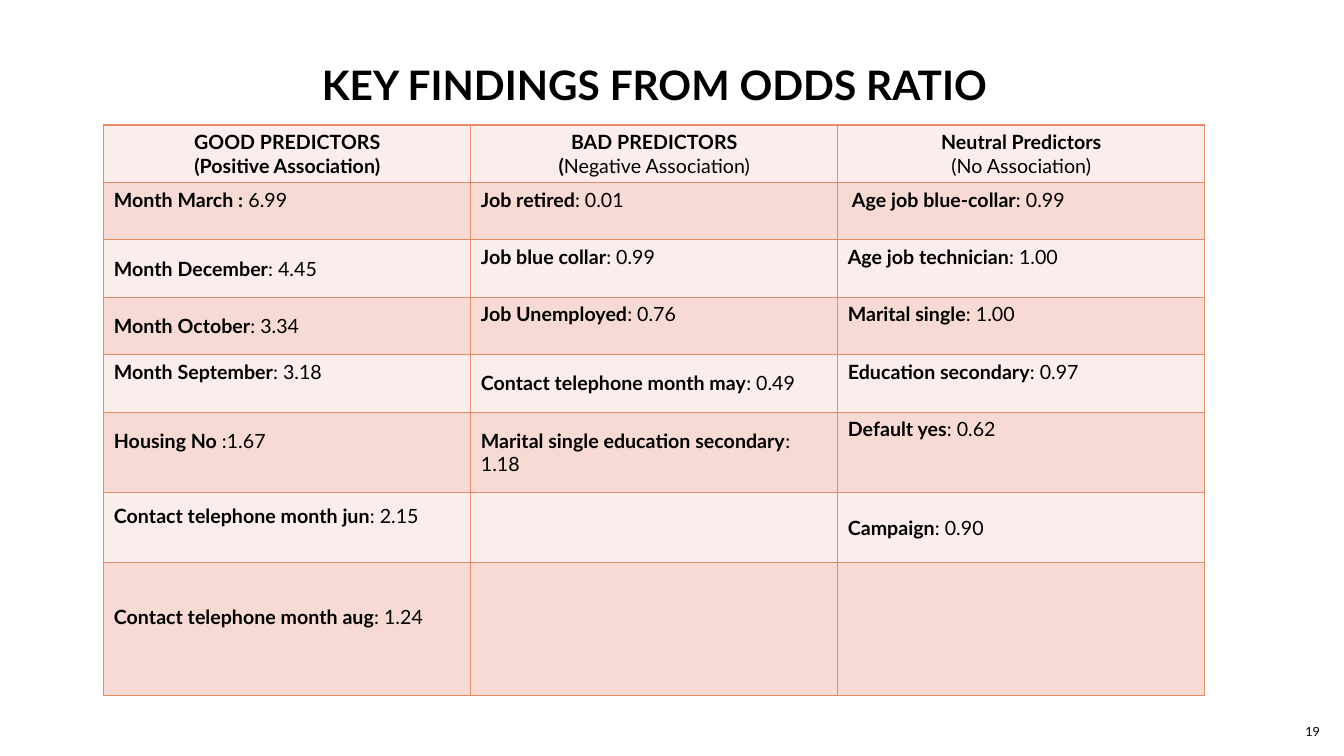
import lxml.etree
import pptx
import pptx.dml.color
import pptx.enum.text
import pptx.oxml.ns
import pptx.util

Inches = pptx.util.Inches
ALIGN = pptx.enum.text.PP_ALIGN
ANCHOR = pptx.enum.text.MSO_ANCHOR

FONT = "Lato"
TEXT, BORDER = "000000", "E78A67"
BANDS = ("FAEDEB", "F6DAD3")
COLUMN_WIDTH = 3.64
ROW_HEIGHTS = [0.57] * 5 + [0.8, 0.69, 1.32]
LINE_HEIGHT = 0.23

# Each header cell is a list of lines, each line a list of (text, bold) runs.
HEADERS = [
    [[("GOOD PREDICTORS", True)], [("(Positive Association)", True)]],
    [[("BAD PREDICTORS", True)], [("(", True), ("Negative Association)", False)]],
    [[("Neutral Predictors", True)], [("(No Association)", False)]],
]

# Predictor, odds ratio, and the number of free lines kept below the text.
PREDICTORS = [
    [("Month March :", " 6.99", 1), ("Month December", ": 4.45", 0),
     ("Month October", ": 3.34", 0), ("Month September", ": 3.18", 1),
     ("Housing No\u00a0", ":1.67", 1), ("Contact telephone month jun", ": 2.15", 1),
     ("Contact telephone month aug", ": 1.24", 1)],
    [("Job retired", ": 0.01", 1), ("Job blue collar", ": 0.99", 1),
     ("Job Unemployed", ": 0.76", 1), ("Contact telephone month may", ": 0.49", 0),
     ("Marital single education secondary", ": 1.18", 0)],
    [(" Age job blue-collar", ": 0.99", 1), ("Age job technician", ": 1.00", 1),
     ("Marital single", ": 1.00", 1), ("Education secondary", ": 0.97", 1),
     ("Default yes", ": 0.62", 2), ("Campaign", ": 0.90", 0)],
]


def rgb(value):
    return pptx.dml.color.RGBColor.from_string(value)


def write_lines(tf, lines, size, align):
    """Fill a text frame with lines of (text, bold) runs."""
    for i, line in enumerate(lines):
        p = tf.paragraphs[0] if i == 0 else tf.add_paragraph()
        p.alignment = align
        for text, bold in line:
            r = p.add_run()
            r.text = text
            font = {"name": FONT, "size": pptx.util.Pt(size), "bold": bold}
            for name, value in font.items():
                setattr(r.font, name, value)
            r.font.color.rgb = rgb(TEXT)


def add_text(slide, box, text, size, bold, align, anchor):
    tf = slide.shapes.add_textbox(*map(Inches, box)).text_frame
    tf.word_wrap = True
    tf.vertical_anchor = anchor
    write_lines(tf, [[(text, bold)]], size, align)
    return tf


def set_borders(cell):
    qn = pptx.oxml.ns.qn
    tc_pr = cell._tc.get_or_add_tcPr()
    for i, side in enumerate(("lnL", "lnR", "lnT", "lnB")):
        ln = lxml.etree.Element(qn(f"a:{side}"), w=str(pptx.util.Pt(1)))
        fill = lxml.etree.SubElement(ln, qn("a:solidFill"))
        lxml.etree.SubElement(fill, qn("a:srgbClr"), val=BORDER)
        tc_pr.insert(i, ln)


def add_predictor_table(slide):
    rows, cols = len(ROW_HEIGHTS), len(HEADERS)
    box = (1.03, 1.24, COLUMN_WIDTH * cols, sum(ROW_HEIGHTS))
    table = slide.shapes.add_table(rows, cols, *map(Inches, box)).table
    for row, height in zip(table.rows, ROW_HEIGHTS):
        row.height = Inches(height)
    for r in range(rows):
        for c in range(cols):
            cell = table.cell(r, c)
            cell.fill.solid()
            cell.fill.fore_color.rgb = rgb(BANDS[r % 2])
            cell.vertical_anchor = ANCHOR.MIDDLE
            set_borders(cell)
    for c, (header, column) in enumerate(zip(HEADERS, PREDICTORS)):
        write_lines(table.cell(0, c).text_frame, header, 14, ALIGN.CENTER)
        for r, (name, ratio, free_lines) in enumerate(column, start=1):
            cell = table.cell(r, c)
            cell.margin_bottom = Inches(0.05 + LINE_HEIGHT * free_lines)
            write_lines(cell.text_frame, [[(name, True), (ratio, False)]], 14, ALIGN.LEFT)


def main():
    prs = pptx.Presentation()
    prs.slide_width, prs.slide_height = Inches(13.33), Inches(7.5)
    slide = prs.slides.add_slide(prs.slide_layouts[6])
    title = add_text(slide, (0.67, 0.6, 11.65, 0.7), "KEY FINDINGS FROM ODDS RATIO",
                     29, True, ALIGN.CENTER, ANCHOR.TOP)
    title.paragraphs[0].line_spacing = 0.9
    add_predictor_table(slide)
    add_text(slide, (12.72, 7.06, 0.47, 0.4), "19", 9, False, ALIGN.RIGHT, ANCHOR.MIDDLE)
    prs.save("out.pptx")


if __name__ == "__main__":
    main()
